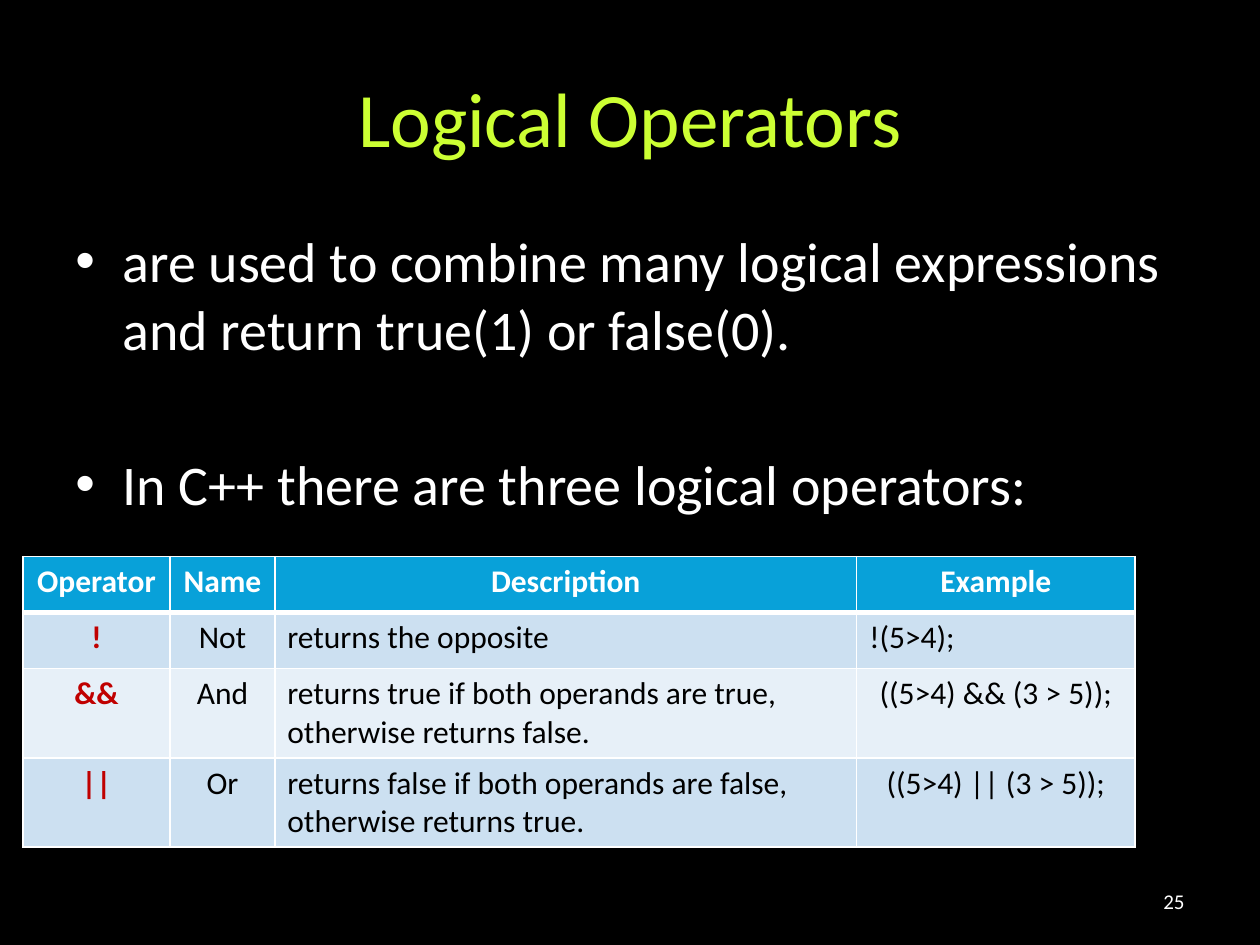
from lxml import etree
from pptx import Presentation
from pptx import util as u
from pptx.dml import color
from pptx.enum import text
from pptx.oxml import ns

WHITE, BLACK, RED, LIME = "FFFFFF", "000000", "C00000", "CCFF33"
HEAD, BAND, PALE = "08A1D9", "CCE0F1", "E7F0F8"
LEFT, CENTER, RIGHT = text.PP_ALIGN.LEFT, text.PP_ALIGN.CENTER, text.PP_ALIGN.RIGHT


def rgb(value):
    return color.RGBColor.from_string(value)


def add_run(p, words, size, fill, align=LEFT, bold=False):
    p.alignment = align
    r = p.add_run()
    r.text = words
    r.font.name = "Calibri"
    r.font.size = u.Pt(size)
    r.font.bold = bold
    r.font.color.rgb = rgb(fill)


prs = Presentation()
prs.slide_width, prs.slide_height = u.Cm(25.4), u.Cm(19.05)
s = prs.slides.add_slide(prs.slide_layouts[6])
s.background.fill.solid()
s.background.fill.fore_color.rgb = rgb(BLACK)

frames = []
for box, anchor in [
    ((1.27, 0.76, 22.86, 3.18), text.MSO_ANCHOR.MIDDLE),
    ((1.27, 4.45, 22.86, 12.57), text.MSO_ANCHOR.TOP),
    ((18.2, 17.65, 5.93, 1.02), text.MSO_ANCHOR.MIDDLE),
]:
    tf = s.shapes.add_textbox(*[u.Cm(v) for v in box]).text_frame
    tf.word_wrap = True
    tf.vertical_anchor = anchor
    frames.append(tf)
title, body, number = frames

add_run(title.paragraphs[0], "Logical Operators", 44, LIME, CENTER)
add_run(number.paragraphs[0], "25", 12, WHITE, RIGHT)

bullets = [
    (body.paragraphs[0], "are used to combine many logical expressions and return true(1) or false(0).", 0),
    (body.add_paragraph(), "In C++ there are three logical operators:", 50.5),
]
for p, words, gap in bullets:
    add_run(p, words, 32, WHITE)
    p.space_before = u.Pt(gap)
    pPr = p._p.get_or_add_pPr()
    pPr.set("marL", str(u.Cm(0.95)))
    pPr.set("indent", str(u.Cm(-0.95)))
    etree.SubElement(pPr, ns.qn("a:buFont")).set("typeface", "Arial")
    etree.SubElement(pPr, ns.qn("a:buChar")).set("char", "•")

rows = [
    ("Operator", "Name", "Description", "Example"),
    ("!", "Not", "returns the opposite", "!(5>4);"),
    ("&&", "And", "returns true if both operands are true, otherwise returns false.", "((5>4) && (3 > 5));"),
    ("||", "Or", "returns false if both operands are false, otherwise returns true.", "((5>4) || (3 > 5));"),
]
widths = [2.97, 2.11, 11.73, 5.61]
heights = [1.13, 1.13, 1.8, 1.8]
table = s.shapes.add_table(
    len(rows), len(widths), u.Cm(0.46), u.Cm(11.22), u.Cm(sum(widths)), u.Cm(sum(heights))
).table
for column, width in zip(table.columns, widths):
    column.width = u.Cm(width)
for row, height in zip(table.rows, heights):
    row.height = u.Cm(height)

for i, row in enumerate(rows):
    for j, words in enumerate(row):
        cell = table.cell(i, j)
        header = i == 0
        tcPr = cell._tc.get_or_add_tcPr()
        for side in ("lnL", "lnR", "lnT", "lnB"):
            thick = (header and side == "lnB") or (i == 1 and side == "lnT")
            ln = etree.SubElement(tcPr, ns.qn("a:" + side), w=str(u.Pt(3 if thick else 1)))
            fill = etree.SubElement(ln, ns.qn("a:solidFill"))
            etree.SubElement(fill, ns.qn("a:srgbClr"), val=WHITE)
        cell.fill.solid()
        cell.fill.fore_color.rgb = rgb(HEAD if header else BAND if i % 2 else PALE)
        centred = header or j < 2 or (j == 3 and i > 1)
        ink = WHITE if header else RED if j == 0 else BLACK
        add_run(cell.text_frame.paragraphs[0], words, 18, ink,
                CENTER if centred else LEFT, header or j == 0)

prs.save("out.pptx")
